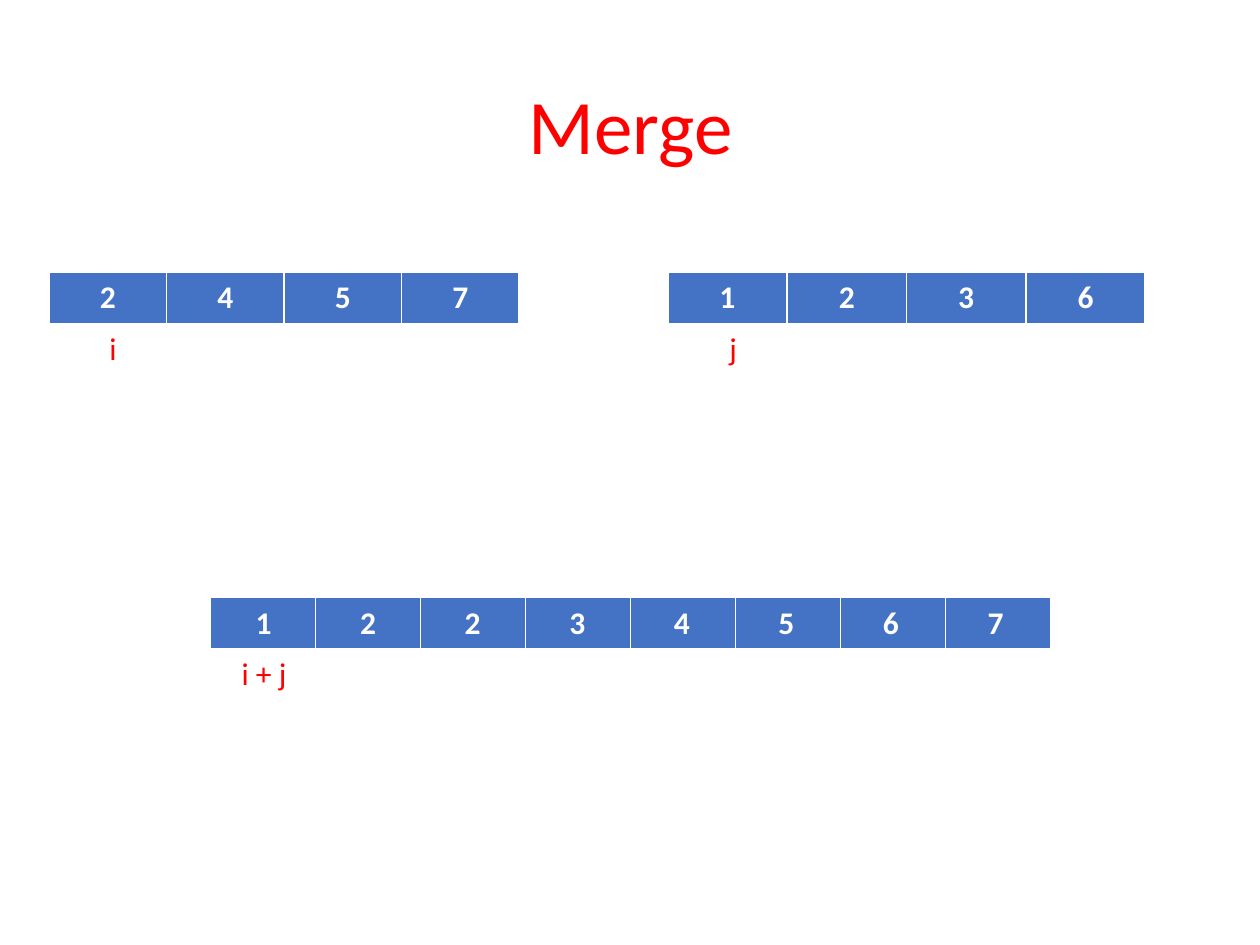
"""Build a slide showing two sorted arrays merged into one."""
from dataclasses import dataclass

from pptx import Presentation
from pptx.dml.color import RGBColor
from pptx.enum import text
from pptx.util import Inches, Pt

RED = RGBColor(0xFF, 0x00, 0x00)
WHITE = RGBColor(0xFF, 0xFF, 0xFF)
BLUE = RGBColor(0x44, 0x72, 0xC4)
FONT = "Calibri"
ROW_HEIGHT = 0.41


@dataclass
class Array:
    left: float
    top: float
    width: float
    values: list[str]


@dataclass
class Label:
    left: float
    top: float
    width: float
    caption: str
    color: RGBColor = RED
    bold: bool = False


MERGED = ["1", "2", "2", "3", "4", "5", "6", "7"]
ARRAYS = [
    Array(0.39, 2.16, 3.73, ["2", "4", "5", "7"]),
    Array(5.3, 2.16, 3.79, ["1", "2", "3", "6"]),
    Array(1.67, 4.74, 6.67, [""] * len(MERGED)),
]
INDEXES = [
    Label(0.77, 2.56, 0.26, "i"),
    Label(5.69, 2.56, 0.29, "j"),
    Label(1.82, 5.14, 0.56, "i + j"),
]
DIGITS = [Label(1.93 + 0.83 * n, 4.74, 0.33, value, WHITE, True)
          for n, value in enumerate(MERGED)]


def format_text(p, size: float, color: RGBColor, bold: bool = False) -> None:
    for r in p.runs:
        r.font.name = FONT
        r.font.size = Pt(size)
        r.font.bold = bold
        r.font.color.rgb = color


def add_title(s, caption: str) -> None:
    title = s.shapes.title
    title.left, title.top = Inches(0.34), Inches(0.54)
    title.width, title.height = Inches(9.33), Inches(0.98)
    tf = title.text_frame
    tf.text = caption
    tf.vertical_anchor = text.MSO_ANCHOR.MIDDLE
    p = tf.paragraphs[0]
    p.alignment = text.PP_ALIGN.CENTER
    p.line_spacing = 0.9
    format_text(p, 44, RED)


def add_array(s, array: Array) -> None:
    count = len(array.values)
    table = s.shapes.add_table(
        1, count, Inches(array.left), Inches(array.top),
        Inches(array.width), Inches(ROW_HEIGHT)).table
    for column, value in enumerate(array.values):
        table.columns[column].width = Inches(array.width / count)
        cell = table.cell(0, column)
        cell.fill.solid()
        cell.fill.fore_color.rgb = BLUE
        if value:
            cell.text_frame.text = value
            p = cell.text_frame.paragraphs[0]
            p.alignment = text.PP_ALIGN.CENTER
            format_text(p, 18, WHITE, True)


def add_label(s, label: Label) -> None:
    sp = s.shapes.add_textbox(Inches(label.left), Inches(label.top),
                              Inches(label.width), Inches(0.4))
    tf = sp.text_frame
    tf.word_wrap = False
    tf.auto_size = text.MSO_AUTO_SIZE.SHAPE_TO_FIT_TEXT
    tf.text = label.caption
    format_text(tf.paragraphs[0], 18, label.color, label.bold)


def main() -> None:
    prs = Presentation()
    prs.slide_width, prs.slide_height = Inches(10), Inches(7.5)
    s = prs.slides.add_slide(prs.slide_layouts[5])
    add_title(s, "Merge")
    for array in ARRAYS:
        add_array(s, array)
    for label in INDEXES + DIGITS:
        add_label(s, label)
    prs.save("out.pptx")


if __name__ == "__main__":
    main()
